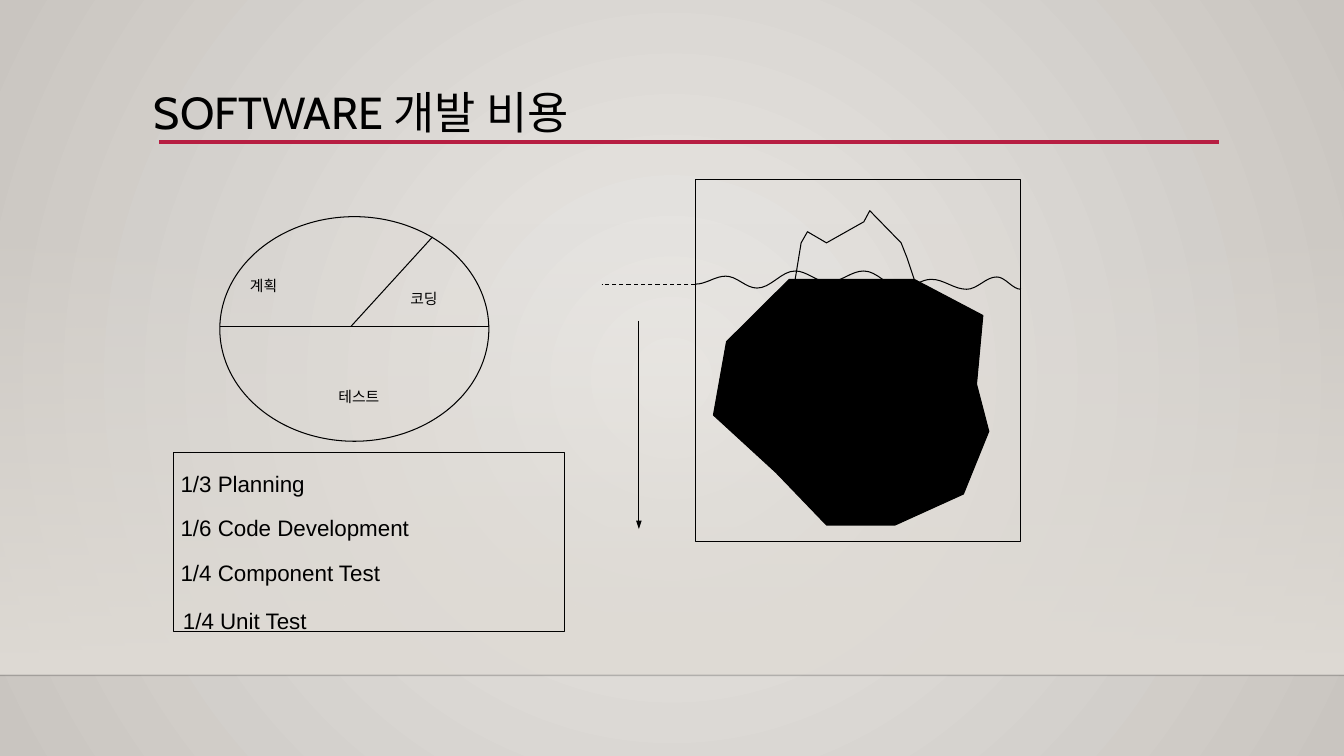
import math
from lxml import etree
from pptx import Presentation
from pptx import util as u
from pptx.dml.color import RGBColor
from pptx.enum import dml, shapes, text
from pptx.oxml import ns

COLORS = {
    "ink": "000000",
    "accent": "B71E42",
    "center": "EBE9E6",
    "edge": "C9C5C0",
    "wall": "DFDBD5",
    "floor": "000001",
}
Cm = u.Cm


def write(paragraph, words, size=16, font="Arial", indent=0, before=0, spacing=1.0):
    properties = paragraph._p.get_or_add_pPr()
    properties.set("marL", str(Cm(indent)))
    properties.set("indent", "0")
    etree.SubElement(properties, ns.qn("a:buNone"))
    paragraph.alignment = text.PP_ALIGN.LEFT
    paragraph.line_spacing = spacing
    paragraph.space_before = u.Pt(before)
    run = paragraph.add_run()
    run.text = words
    run.font.size = u.Pt(size)
    run.font.name = font
    run.font.color.rgb = RGBColor.from_string(COLORS["ink"])


def prepare(frame, left, top, right, bottom):
    frame.word_wrap = True
    frame.auto_size = text.MSO_AUTO_SIZE.NONE
    frame.vertical_anchor = text.MSO_ANCHOR.TOP
    frame.margin_left, frame.margin_top = Cm(left), Cm(top)
    frame.margin_right, frame.margin_bottom = Cm(right), Cm(bottom)


presentation = Presentation()
presentation.slide_width = Cm(33.87)
presentation.slide_height = Cm(19.05)
slide = presentation.slides.add_slide(presentation.slide_layouts[1])

background = slide.background.fill
background.gradient()
for stop, name in zip(background.gradient_stops, ("center", "edge")):
    stop.color.rgb = RGBColor.from_string(COLORS[name])
gradient = slide.element.find(".//" + ns.qn("a:gradFill"))
for linear in gradient.findall(ns.qn("a:lin")):
    gradient.remove(linear)
circle = etree.SubElement(gradient, ns.qn("a:path"), path="circle")
etree.SubElement(circle, ns.qn("a:fillToRect"), l="50000", t="50000", r="50000", b="50000")

wall = slide.shapes.add_shape(shapes.MSO_SHAPE.RECTANGLE, 0, Cm(5.61), Cm(33.87), Cm(11.4))
wall.shadow.inherit = False
wall.line.fill.background()
wall.fill.gradient()
wall.fill.gradient_angle = 270
for stop in wall.fill.gradient_stops:
    stop.color.rgb = RGBColor.from_string(COLORS["wall"])
first_color = wall.element.find(".//" + ns.qn("a:srgbClr"))
etree.SubElement(first_color, ns.qn("a:alpha"), val="0")
wall.element.getparent().insert(2, wall.element)

title = slide.shapes.title
title.left, title.top, title.width, title.height = Cm(3.63), Cm(1.73), Cm(16.94), Cm(1.75)
prepare(title.text_frame, 0.25, 0.13, 0.25, 0.13)
write(title.text_frame.paragraphs[0], "SOFTWARE 개발 비용", size=32, font="Cabin", spacing=1.2)

cost_list = slide.placeholders[1]
cost_list.left, cost_list.top, cost_list.width, cost_list.height = Cm(4.37), Cm(11.4), Cm(9.86), Cm(4.52)
cost_list.line.color.rgb = RGBColor.from_string(COLORS["ink"])
cost_list.line.width = u.Pt(0.75)
prepare(cost_list.text_frame, 0, 0.1, 0, 0)
costs = [
    ("1/3 Planning", 0.18, 0),
    ("1/6 Code Development", 0.18, 3.1),
    ("1/4 Component Test", 0.18, 3.1),
    ("1/4 Unit Test", 0.24, 5.7),
]
for number, (words, indent, before) in enumerate(costs):
    frame = cost_list.text_frame
    paragraph = frame.add_paragraph() if number else frame.paragraphs[0]
    write(paragraph, words, indent=indent, before=before, spacing=1.5)

sea_frame = slide.shapes.add_shape(shapes.MSO_SHAPE.RECTANGLE, Cm(17.53), Cm(4.52), Cm(8.2), Cm(9.12))
cost_pie = slide.shapes.add_shape(shapes.MSO_SHAPE.OVAL, Cm(5.54), Cm(5.46), Cm(6.78), Cm(5.66))

iceberg = [
    (23.04, 7.04), (19.89, 7.04), (18.31, 8.61), (17.98, 10.46), (19.56, 11.91), (20.83, 13.23),
    (22.56, 13.23), (24.28, 12.45), (24.92, 10.87), (24.61, 9.68), (24.77, 7.95),
]
tip = [
    (20.04, 7.04), (20.19, 6.12), (20.35, 5.84), (20.83, 6.12), (21.77, 5.59),
    (21.92, 5.31), (22.71, 6.12), (22.86, 6.5), (23.04, 7.04),
]
crests = [
    (17.53, 7.16), (18.29, 6.96), (19.08, 7.26), (20.04, 6.83), (20.88, 7.11), (21.77, 6.83),
    (22.73, 7.26), (23.47, 7.04), (24.36, 7.29), (25.12, 6.98), (25.73, 7.29),
]
steps = 8
wave = crests[:1]
for (x1, y1), (x2, y2) in zip(crests, crests[1:]):
    for step in range(1, steps + 1):
        share = step / steps
        wave.append((x1 + (x2 - x1) * share, y1 + (y2 - y1) * (1 - math.cos(math.pi * share)) / 2))

outlined = [sea_frame, cost_pie]
for points, closed in ((iceberg, True), (tip, False), (wave, False)):
    corners = [(Cm(x), Cm(y)) for x, y in points]
    builder = slide.shapes.build_freeform(*corners[0])
    builder.add_line_segments(corners[1:], close=closed)
    outlined.append(builder.convert_to_shape())
for shape in outlined:
    shape.shadow.inherit = False
    shape.fill.background()
    shape.line.color.rgb = RGBColor.from_string(COLORS["ink"])
    shape.line.width = u.Pt(0.75)
iceberg_shape = outlined[2]
iceberg_shape.fill.solid()
iceberg_shape.fill.fore_color.rgb = RGBColor.from_string(COLORS["ink"])

lines = [
    ("floor", 0, 17.02, 33.87, 17.02, "floor", 1),
    ("underline", 4.01, 3.58, 30.71, 3.58, "accent", 2.5),
    ("waterline", 17.53, 7.16, 15.16, 7.16, "ink", 0.75),
    ("depth", 16.1, 8.08, 16.1, 13.33, "ink", 0.75),
    ("half", 5.54, 8.23, 12.32, 8.23, "ink", 0.75),
    ("slice", 10.9, 5.97, 8.84, 8.23, "ink", 0.75),
]
for name, x1, y1, x2, y2, color, width in lines:
    connector = slide.shapes.add_connector(shapes.MSO_CONNECTOR.STRAIGHT, Cm(x1), Cm(y1), Cm(x2), Cm(y2))
    connector.line.color.rgb = RGBColor.from_string(COLORS[color])
    connector.line.width = u.Pt(width)
    properties = connector.element.spPr
    if name == "floor":
        etree.SubElement(properties.find(".//" + ns.qn("a:srgbClr")), ns.qn("a:alpha"), val="20000")
    if name == "waterline":
        connector.line.dash_style = dml.MSO_LINE.DASH
    if name == "depth":
        etree.SubElement(properties.find(ns.qn("a:ln")), ns.qn("a:tailEnd"), type="triangle", w="sm", len="med")
    etree.SubElement(properties, ns.qn("a:effectLst"))

labels = [
    ("코딩", 10.31, 7.26, 2.29, 0.74, 0.03),
    ("계획", 6.27, 6.93, 2.79, 0.74, 0.03),
    ("테스트", 7.72, 9.75, 4.22, 1.4, 0.81),
]
for words, left, top, width, height, indent in labels:
    label = slide.shapes.add_textbox(Cm(left), Cm(top), Cm(width), Cm(height))
    prepare(label.text_frame, 0, 0.03, 0, 0)
    write(label.text_frame.paragraphs[0], words, size=10.6, indent=indent)

presentation.save("out.pptx")
